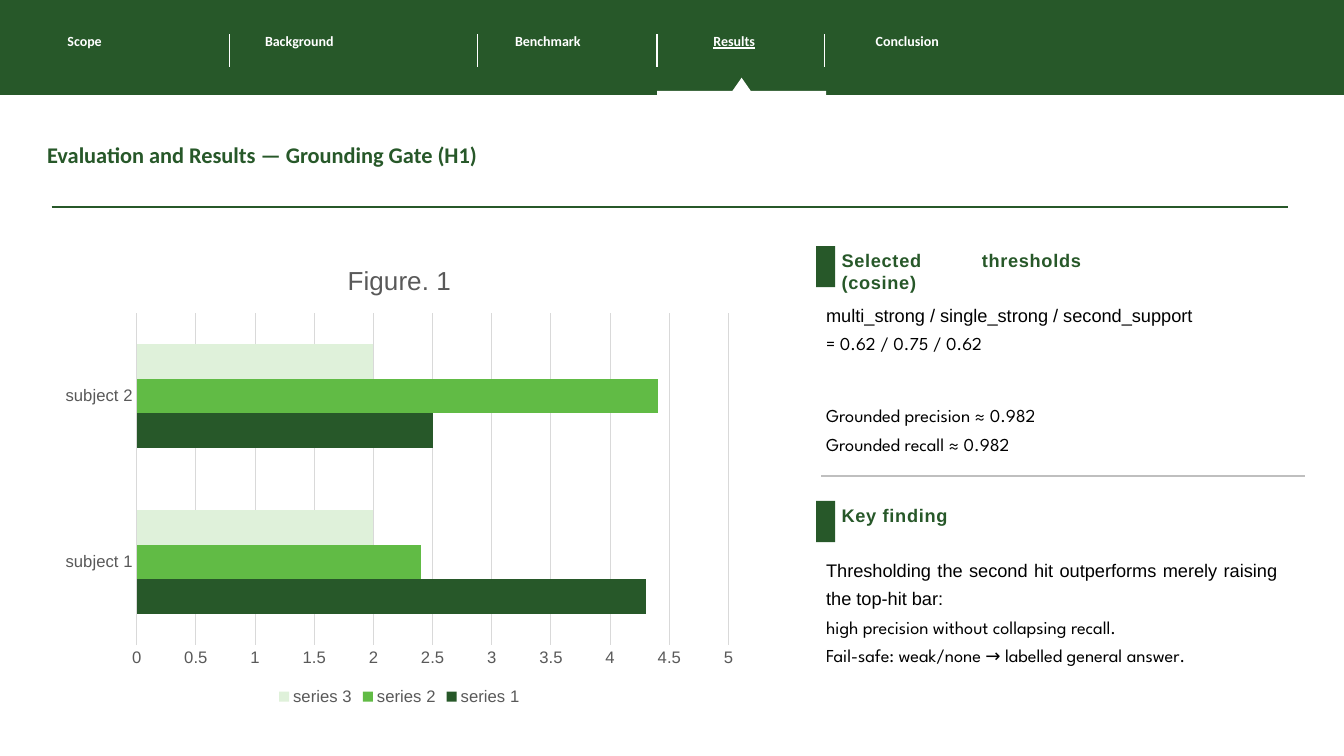
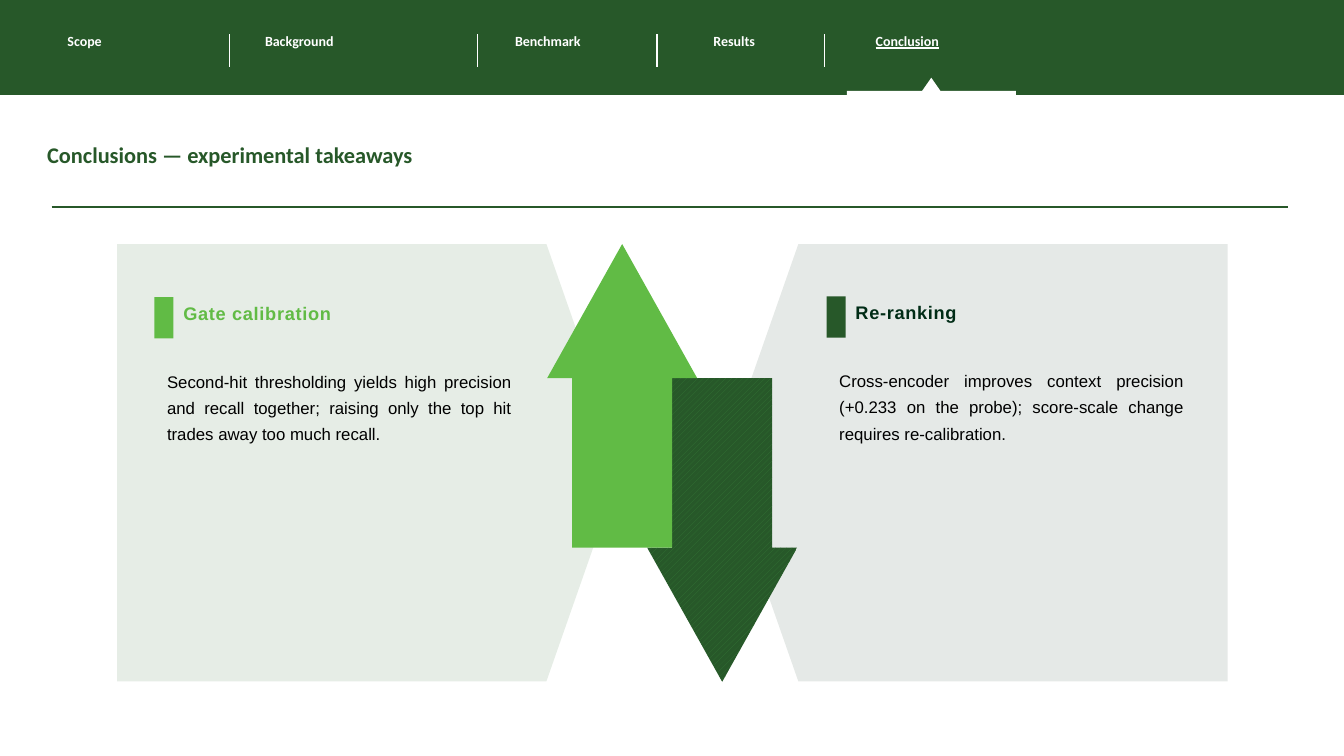
from lxml.etree import SubElement
from pptx import Presentation
from pptx.chart.data import CategoryChartData
from pptx.dml.color import RGBColor
from pptx.enum.chart import XL_CHART_TYPE, XL_LEGEND_POSITION, XL_TICK_MARK
from pptx.enum.dml import MSO_PATTERN
from pptx.enum.shapes import MSO_CONNECTOR, MSO_SHAPE
from pptx.enum.text import MSO_ANCHOR, PP_ALIGN
from pptx.oxml.ns import qn
from pptx.util import Cm, Pt

GREEN, LIME, PALE, MOSS, PINE = "275829", "61BB45", "DFF1DA", "337335", "002C16"
WHITE, BLACK, TEXT_GREY, RULE_GREY, GRID_GREY = "FFFFFF", "000000", "595959", "BFBFBF", "D9D9D9"
SANS, HEAD, SPARTAN = "Arial", "Calibri", "League Spartan"
WIDTH, HEIGHT = 33.87, 19.05
TABS = [("Scope", 1.45, 3.71), ("Background", 6.43, 4.9), ("Benchmark", 12.73, 2.82),
        ("Results", 17.73, 2.34), ("Conclusion", 21.82, 3.33)]
SEPARATORS = [5.79, 12.04, 16.56, 20.78]
POINTERS = {"Results": 18.69, "Conclusion": 23.47}


def rgb(value):
    """Turn a hex string into a colour."""
    return RGBColor.from_string(value)


class Deck:
    """Holds the shared style and the current slide."""

    def __init__(self):
        """Start an empty widescreen deck."""
        self.prs = Presentation()
        self.prs.slide_width, self.prs.slide_height = Cm(WIDTH), Cm(HEIGHT)

    def new_slide(self, title):
        """Add a blank slide with its title and rule."""
        self.s = self.prs.slides.add_slide(self.prs.slide_layouts[6])
        self.text(0.94, 3.43, 28.3, 1.75, [title], 16, GREEN, HEAD, bold=True)
        self.line(1.3, 5.21, 32.46, 5.21, GREEN, 1.25)

    def font(self, font, size, color, name=SANS):
        """Set size, colour and typeface of a font."""
        font.size, font.name = Pt(size), name
        font.color.rgb = rgb(color)

    def shape(self, kind, x, y, w, h, color, alpha=None, adj=(), rotation=0, pattern=None):
        """Add a borderless preset shape."""
        sp = self.s.shapes.add_shape(kind, Cm(x), Cm(y), Cm(w), Cm(h))
        sp.shadow.inherit = False
        sp.line.fill.background()
        sp.rotation = rotation
        for i, value in enumerate(adj):
            sp.adjustments[i] = value
        if pattern:
            sp.fill.patterned()
            sp.fill.pattern = MSO_PATTERN.WIDE_UPWARD_DIAGONAL
            sp.fill.fore_color.rgb, sp.fill.back_color.rgb = rgb(pattern), rgb(color)
        else:
            sp.fill.solid()
            sp.fill.fore_color.rgb = rgb(color)
        if alpha:
            clr = sp._element.spPr.find(".//" + qn("a:srgbClr"))
            SubElement(clr, qn("a:alpha")).set("val", str(alpha * 1000))
        return sp

    def line(self, x1, y1, x2, y2, color, width):
        """Add a straight line."""
        ln = self.s.shapes.add_connector(MSO_CONNECTOR.STRAIGHT, Cm(x1), Cm(y1), Cm(x2), Cm(y2))
        ln.line.color.rgb, ln.line.width = rgb(color), Pt(width)
        SubElement(ln._element.spPr, qn("a:effectLst"))

    def text(self, x, y, w, h, lines, size, color, name=SANS, bold=False, underline=False,
             align=PP_ALIGN.LEFT, spacing=None, tracking=None):
        """Add a text box; a line is a string or (string, font, space before)."""
        tf = self.s.shapes.add_textbox(Cm(x), Cm(y), Cm(w), Cm(h)).text_frame
        tf.word_wrap, tf.vertical_anchor = True, MSO_ANCHOR.TOP
        for i, item in enumerate(lines):
            words, face, before = (item, name, 0) if isinstance(item, str) else item
            p = tf.paragraphs[0] if i == 0 else tf.add_paragraph()
            p.text, p.alignment = words, align
            if spacing:
                p.line_spacing = spacing
            if before:
                p.space_before = Pt(before)
            r = p.runs[0]
            self.font(r.font, size, color, face)
            r.font.bold, r.font.underline = bold, underline
            if tracking:
                r._r.get_or_add_rPr().set("spc", str(tracking))

    def section(self, x, y, heading, head_at, head_color, bar_color, lines, body_at, w, size):
        """Add a bar-marked heading with justified text below."""
        self.shape(MSO_SHAPE.RECTANGLE, x, y, 0.48, 1.04, bar_color)
        self.text(x + head_at[0], y + head_at[1], 6.55, 1.2, [heading], 13, head_color,
                  bold=True, align=PP_ALIGN.JUSTIFY, tracking=50)
        self.text(x + body_at[0], y + body_at[1], w, 2.29, lines, size, BLACK,
                  align=PP_ALIGN.JUSTIFY, spacing=1.3)

    def nav(self, current):
        """Add the top band with its tabs and the pointer to the current one."""
        self.shape(MSO_SHAPE.RECTANGLE, 0, 0, WIDTH, 2.39, GREEN)
        mid = POINTERS[current]
        self.shape(MSO_SHAPE.ISOSCELES_TRIANGLE, mid - 0.23, 1.96, 0.46, 0.33, WHITE)
        self.shape(MSO_SHAPE.RECTANGLE, mid - 2.13, 2.29, 4.26, 0.2, WHITE)
        for label, x, w in TABS:
            self.text(x, 0.69, w, 1.02, [label], 10, WHITE, HEAD, bold=True,
                      underline=label == current)
        for x in SEPARATORS:
            self.line(x, 0.86, x, 1.7, WHITE, 1)

    def bar_chart(self, x, y, w, h, title, categories, series):
        """Add a clustered bar chart; series are (name, values, colour)."""
        data = CategoryChartData()
        data.categories = categories
        for name, values, _ in series:
            data.add_series(name, values)
        chart = self.s.shapes.add_chart(XL_CHART_TYPE.BAR_CLUSTERED, Cm(x), Cm(y),
                                        Cm(w), Cm(h), data).chart
        self.font(chart.font, 10, BLACK)
        chart.has_title = True
        chart.chart_title.include_in_layout = False
        p = chart.chart_title.text_frame.paragraphs[0]
        p.text = title
        self.font(p.runs[0].font, 18.6, TEXT_GREY)
        p.runs[0].font.bold = False
        chart.has_legend = True
        chart.legend.position = XL_LEGEND_POSITION.BOTTOM
        chart.legend.include_in_layout = False
        self.font(chart.legend.font, 11.9, TEXT_GREY)
        cat, val = chart.category_axis, chart.value_axis
        for axis in (cat, val):
            axis.major_tick_mark = axis.minor_tick_mark = XL_TICK_MARK.NONE
            self.font(axis.tick_labels.font, 11.9, TEXT_GREY)
        val.minimum_scale, val.maximum_scale, val.major_unit = 0, 5, 0.5
        val.has_major_gridlines = True
        val.format.line.fill.background()
        for ln in (cat.format.line, val.major_gridlines.format.line):
            ln.color.rgb, ln.width = rgb(GRID_GREY), Pt(0.75)
        plot = chart.plots[0]
        plot.gap_width, plot.overlap, plot.vary_by_categories = 182, 0, False
        for ser, (_, _, color) in zip(plot.series, series):
            ser.format.fill.solid()
            ser.format.fill.fore_color.rgb = rgb(color)


def results(deck):
    """Build the results slide."""
    deck.new_slide("Evaluation and Results — Grounding Gate (H1)")
    deck.bar_chart(1.3, 6.15, 17.53, 11.73, "Figure. 1", ["subject 1", "subject 2"],
                   [("series 1", (4.3, 2.5), GREEN), ("series 2", (2.4, 4.4), LIME),
                    ("series 3", (2, 2), PALE)])
    deck.line(20.7, 11.99, 32.89, 11.99, RULE_GREY, 1)
    thresholds = ["multi_strong / single_strong / second_support",
                  ("= 0.62 / 0.75 / 0.62", SPARTAN, 0),
                  ("Grounded precision ≈ 0.982", SPARTAN, 31),
                  ("Grounded recall ≈ 0.982", SPARTAN, 0)]
    finding = ["Thresholding the second hit outperforms merely raising the top-hit bar:",
               ("high precision without collapsing recall.", SPARTAN, 0),
               ("Fail-safe: weak/none → labelled general answer.", SPARTAN, 0)]
    for y, heading, lines in ((6.2, "Selected thresholds (cosine)", thresholds),
                              (12.62, "Key finding", finding)):
        deck.section(20.57, y, heading, (0.39, -0.04), GREEN, GREEN, lines, (0, 1.18), 11.86, 13)
    deck.nav("Results")


def conclusion(deck):
    """Build the conclusion slide."""
    deck.new_slide("Conclusions — experimental takeaways")
    for x, color, alpha, rotation in ((2.95, MOSS, 12, 0), (18.19, PINE, 10, 180)):
        deck.shape(MSO_SHAPE.PENTAGON, x, 6.15, 12.75, 11.02, color, alpha, [0.175], rotation)
    for x, y, color, rotation, pattern in ((16.31, 9.53, GREEN, 180, MOSS),
                                           (13.79, 6.15, LIME, 0, None)):
        deck.shape(MSO_SHAPE.UP_ARROW, x, y, 3.78, 7.65, color, adj=[0.667, 0.894],
                   rotation=rotation, pattern=pattern)
    for x, y, heading, head_color, bar_color, body in (
            (3.89, 7.49, "Gate calibration", LIME, LIME,
             "Second-hit thresholding yields high precision and recall together; "
             "raising only the top hit trades away too much recall."),
            (20.83, 7.47, "Re-ranking", PINE, GREEN,
             "Cross-encoder improves context precision (+0.233 on the probe); "
             "score-scale change requires re-calibration.")):
        deck.section(x, y, heading, (0.48, 0), head_color, bar_color, [body], (0.07, 1.6), 9.19, 12)
    deck.nav("Conclusion")


def main():
    """Build and save the deck."""
    deck = Deck()
    results(deck)
    conclusion(deck)
    deck.prs.save("out.pptx")


if __name__ == "__main__":
    main()
